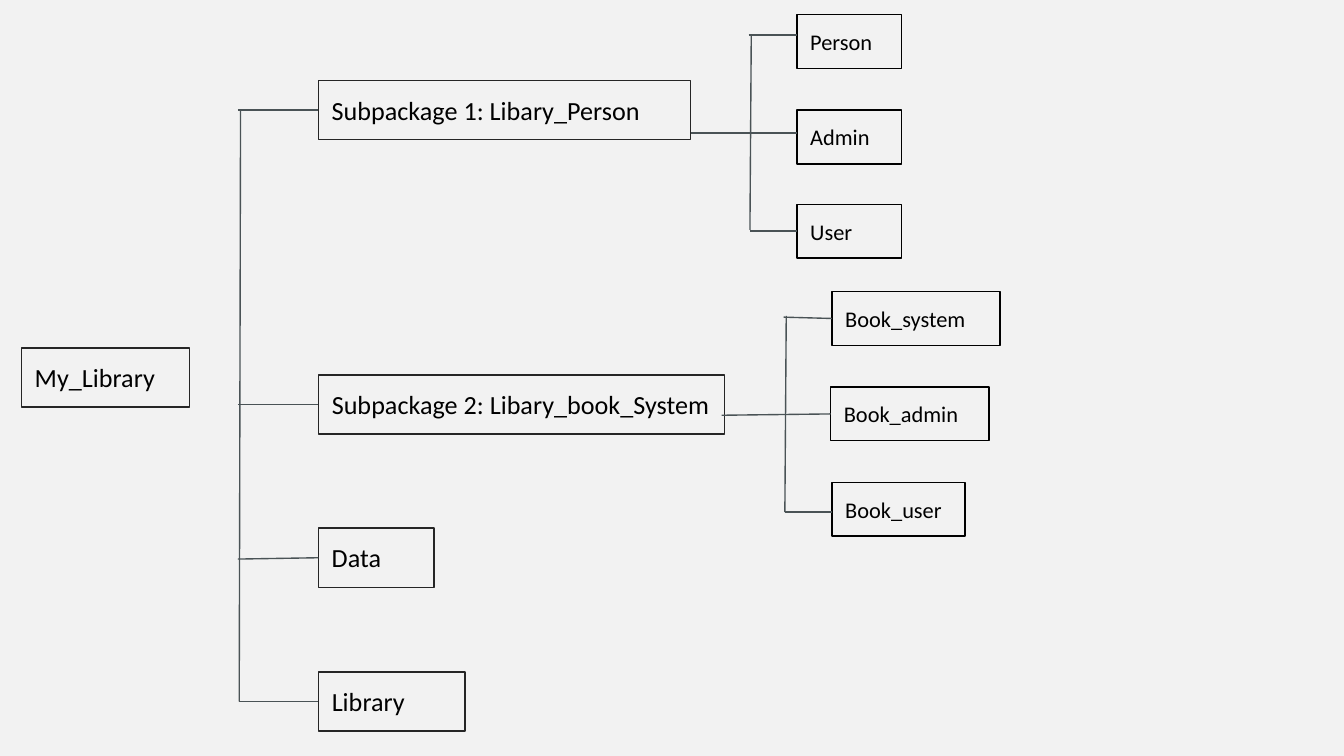
from pptx import Presentation
from pptx.dml.color import RGBColor
from pptx.enum.shapes import MSO_CONNECTOR, MSO_SHAPE
from pptx.enum.text import MSO_ANCHOR, MSO_AUTO_SIZE, PP_ALIGN
from pptx.oxml.ns import qn
from pptx.util import Inches, Pt
from lxml.etree import SubElement

SLIDE_WIDTH = Inches(10)
SLIDE_HEIGHT = SLIDE_WIDTH * 9 // 16

THEME = {
    "font": "Calibri",
    "background": "F2F2F2",
    "text": "000000",
    "branch": "4A5356",
    "line_width": 0.75,
    "package": {"size": 14, "height": 0.44, "border": "262626"},
    "class": {"size": 12, "height": 0.4, "border": "000000"},
}

ROOT = ("My_Library", 0.16, 2.59, 1.25)

TREES = [
    {
        "level": "package",
        "spine": ((1.79, 0.82), (1.78, 5.22)),
        "nodes": [
            ("Subpackage 1: Libary_Person", 2.37, 0.6, 2.77),
            ("Subpackage 2: Libary_book_System", 2.37, 2.79, 3.02),
            ("Data", 2.37, 3.93, 0.86),
            ("Library", 2.37, 5, 1.09),
        ],
        "branches": [(1.77, 0.82, True), (1.77, 3.01, True), (1.77, 4.16, True), (1.78, 5.22, True)],
    },
    {
        "level": "class",
        "spine": ((5.59, 0.26), (5.58, 1.71)),
        "nodes": [
            ("Person", 5.93, 0.11, 0.78),
            ("Admin", 5.93, 0.82, 0.78),
            ("User", 5.93, 1.52, 0.78),
        ],
        "branches": [(5.57, 0.26, False), (5.14, 0.99, False), (5.58, 1.72, True)],
    },
    {
        "level": "class",
        "spine": ((5.85, 2.35), (5.84, 3.81)),
        "nodes": [
            ("Book_system", 6.19, 2.17, 1.25),
            ("Book_admin", 6.18, 2.88, 1.18),
            ("Book_user", 6.19, 3.59, 0.99),
        ],
        "branches": [(5.83, 2.36, True), (5.37, 3.09, True), (5.84, 3.81, False)],
    },
]

FRAME_FORMAT = {
    "word_wrap": True,
    "auto_size": MSO_AUTO_SIZE.SHAPE_TO_FIT_TEXT,
    "vertical_anchor": MSO_ANCHOR.TOP,
    **{f"margin_{side}": Inches(0.1) for side in ("left", "top", "right", "bottom")},
}


def color(name):
    return RGBColor.from_string(name)


def apply(target, values):
    for key, value in values.items():
        setattr(target, key, value)


def style_line(line, tint):
    line.width = Pt(THEME["line_width"])
    line.color.rgb = color(tint)


def add_node(slide, node, level):
    label, left, top, width = node
    style = THEME[level]
    box = slide.shapes.add_shape(
        MSO_SHAPE.RECTANGLE, Inches(left), Inches(top), Inches(width), Inches(style["height"])
    )
    box.shadow.inherit = False
    box.fill.background()
    style_line(box.line, style["border"])
    apply(box.text_frame, FRAME_FORMAT)
    paragraph = box.text_frame.paragraphs[0]
    paragraph.alignment = PP_ALIGN.LEFT
    run = paragraph.add_run()
    run.text = label
    apply(run.font, {"name": THEME["font"], "size": Pt(style["size"])})
    run.font.color.rgb = color(THEME["text"])
    return box


def add_branch(slide, start, end):
    branch = slide.shapes.add_connector(
        MSO_CONNECTOR.STRAIGHT, *(Inches(value) for value in (*start, *end))
    )
    style_line(branch.line, THEME["branch"])
    SubElement(branch._element.spPr, qn("a:effectLst"))
    return branch


def add_tree(slide, tree):
    add_branch(slide, *tree["spine"])
    for node, (start, y, joined) in zip(tree["nodes"], tree["branches"]):
        box = add_node(slide, node, tree["level"])
        branch = add_branch(slide, (start, y), (node[1], y))
        if joined:
            branch.end_connect(box, 1)


def main():
    deck = Presentation()
    apply(deck, {"slide_width": SLIDE_WIDTH, "slide_height": SLIDE_HEIGHT})
    slide = deck.slides.add_slide(deck.slide_layouts[6])
    slide.background.fill.solid()
    slide.background.fill.fore_color.rgb = color(THEME["background"])
    add_node(slide, ROOT, "package")
    for tree in TREES:
        add_tree(slide, tree)
    deck.save("out.pptx")


if __name__ == "__main__":
    main()
